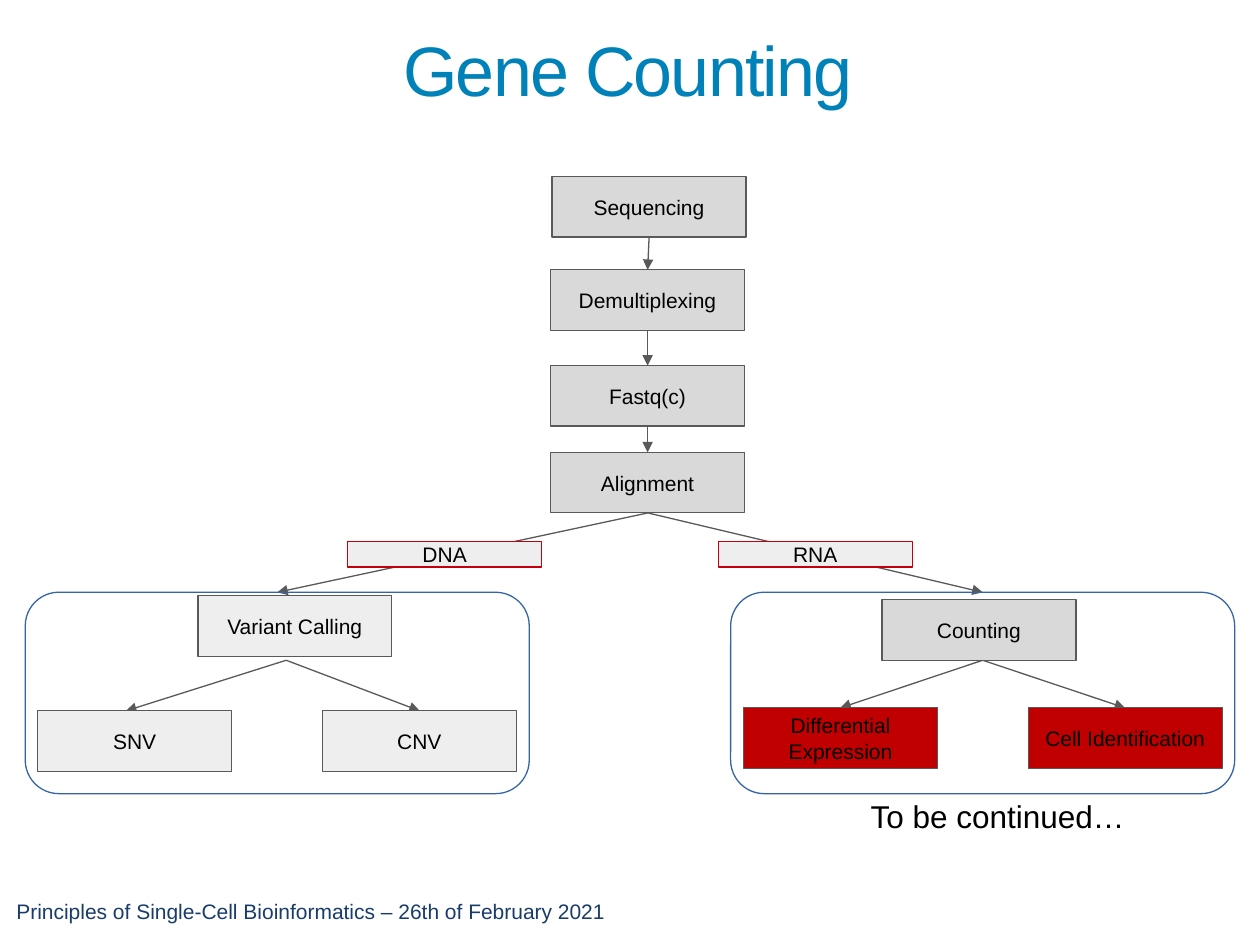
from lxml import etree
from pptx import Presentation
from pptx.dml.color import RGBColor
from pptx.enum import shapes, text
from pptx.oxml.ns import qn
from pptx.util import Cm, Pt

TITLE = "Gene Counting"
FOOTER = "Principles of Single-Cell Bioinformatics – 26th of February 2021"
CLOSING = "To be continued…"

GREY, PALE, RED = "D9D9D9", "EEEEEE", "C00000"
EDGE, RED_EDGE, PANEL_EDGE = "595959", "C5000B", "3465A4"

# Lengths in centimetres
BOX_W, BOX_H, LABEL_H = 3.91, 1.22, 0.51
PANEL_W, PANEL_H, PANEL_TOP = 10.16, 4.06, 11.94
PANEL_LEFTS = [0.51, 14.73]

# (text, left, top, fill)
STEPS = [
    ("Sequencing", 11.13, 3.56, GREY),
    ("Demultiplexing", 11.1, 5.44, GREY),
    ("Fastq(c)", 11.1, 7.37, GREY),
    ("Alignment", 11.1, 9.12, GREY),
]
ANALYSES = [
    ("Variant Calling", 3.99, 12.01, PALE),
    ("SNV", 0.76, 14.33, PALE),
    ("CNV", 6.5, 14.33, PALE),
    ("Counting", 17.78, 12.09, GREY),
    ("Differential Expression", 14.99, 14.27, RED),
    ("Cell Identification", 20.73, 14.27, RED),
]
LABELS = [("DNA", 7.01, 10.92), ("RNA", 14.48, 10.92)]

# (start, ends) of each two-way split
SPLITS = [
    ((13.06, 10.34), [(left + PANEL_W / 2, PANEL_TOP) for left in PANEL_LEFTS]),
    ((5.77, 13.31), [(2.54, 14.33), (8.46, 14.33)]),
    ((19.81, 13.31), [(16.94, 14.27), (22.68, 14.27)]),
]


def rgb(color):
    return RGBColor.from_string(color)


def write(tf, words, size, color, align=None):
    p = tf.paragraphs[0]
    r = p.add_run()
    r.text = words
    p.alignment = align
    p.font.name, p.font.size = "Arial", Pt(size)
    p.font.color.rgb = rgb(color)
    return r


def add_text(s, place, words, size, color, align=None):
    tf = s.shapes.add_textbox(*map(Cm, place)).text_frame
    tf.word_wrap = True
    return tf, write(tf, words, size, color, align)


def add_outline(s, preset, place, edge):
    sp = s.shapes.add_shape(preset, *map(Cm, place))
    sp.shadow.inherit = False
    sp.fill.background()
    sp.line.color.rgb, sp.line.width = rgb(edge), Pt(0.75)
    return sp


def add_box(s, words, left, top, fill, height=BOX_H, edge=EDGE):
    sp = add_outline(s, shapes.MSO_SHAPE.RECTANGLE, (left, top, BOX_W, height), edge)
    sp.fill.solid()
    sp.fill.fore_color.rgb = rgb(fill)
    tf = sp.text_frame
    tf.word_wrap = True
    tf.vertical_anchor = text.MSO_ANCHOR.MIDDLE
    tf.margin_left = tf.margin_right = tf.margin_top = tf.margin_bottom = Cm(0.25)
    write(tf, words, 12, "000000", text.PP_ALIGN.CENTER)


def add_arrow(s, start, end):
    c = s.shapes.add_connector(shapes.MSO_CONNECTOR.STRAIGHT, *map(Cm, start + end))
    c.line.color.rgb, c.line.width = rgb(EDGE), Pt(0.75)
    etree.SubElement(c.line._get_or_add_ln(), qn("a:tailEnd"), type="triangle")
    etree.SubElement(c._element.spPr, qn("a:effectLst"))


def main():
    prs = Presentation()
    prs.slide_width, prs.slide_height = Cm(25.4), Cm(19.05)
    s = prs.slides.add_slide(prs.slide_layouts[6])

    add_text(s, (0.08, 17.98, 14, 1.02), FOOTER, 12, "193C6A")
    tf, r = add_text(s, (0, 0.53, 25.32, 1.7), TITLE, 40, "0082B9",
                     text.PP_ALIGN.CENTER)
    tf.vertical_anchor = text.MSO_ANCHOR.MIDDLE
    r._r.get_or_add_rPr().set("spc", "-100")

    for (_, left, top, _), (_, next_left, next_top, _) in zip(STEPS, STEPS[1:]):
        add_arrow(s, (left + BOX_W / 2, top + BOX_H),
                  (next_left + BOX_W / 2, next_top))
    for start, ends in SPLITS:
        for end in ends:
            add_arrow(s, start, end)

    for left in PANEL_LEFTS:
        add_outline(s, shapes.MSO_SHAPE.ROUNDED_RECTANGLE,
                    (left, PANEL_TOP, PANEL_W, PANEL_H), PANEL_EDGE)
    for box in STEPS + ANALYSES:
        add_box(s, *box)
    for label in LABELS:
        add_box(s, *label, PALE, LABEL_H, RED_EDGE)

    add_text(s, (17.3, 15.95, 6.35, 1.02), CLOSING, 18, "000000")
    prs.save("out.pptx")


if __name__ == "__main__":
    main()
